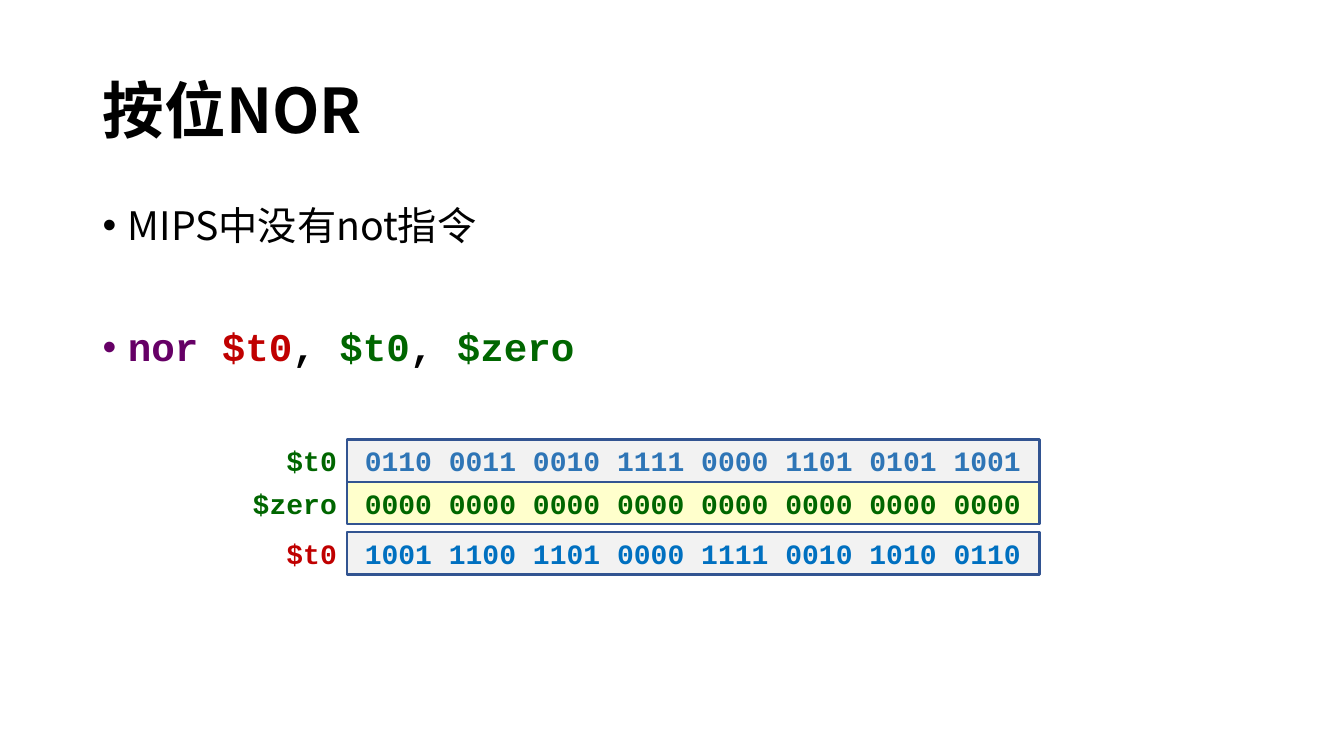
from lxml.etree import SubElement
from pptx import Presentation
from pptx.dml.color import RGBColor
from pptx.enum.shapes import MSO_SHAPE
from pptx.enum.text import MSO_ANCHOR, MSO_AUTO_SIZE, PP_ALIGN
from pptx.oxml.ns import qn
from pptx.util import Inches, Pt

# Colours
BLACK = RGBColor(0x00, 0x00, 0x00)
PURPLE = RGBColor(0x66, 0x00, 0x66)
RED = RGBColor(0xC0, 0x00, 0x00)
GREEN = RGBColor(0x00, 0x66, 0x00)
STEEL_BLUE = RGBColor(0x2E, 0x75, 0xB6)
BRIGHT_BLUE = RGBColor(0x00, 0x70, 0xC0)
BORDER_BLUE = RGBColor(0x32, 0x54, 0x91)
LIGHT_GREY = RGBColor(0xF2, 0xF2, 0xF2)
LIGHT_YELLOW = RGBColor(0xFF, 0xFF, 0xCC)

# Text formats
SANS = "Noto Sans CJK SC"
MONO = "Courier New"
TITLE_FONT = {"name": SANS, "size": Pt(44), "bold": True}
BODY_FONT = {"name": SANS, "size": Pt(28), "bold": False}
CODE_FONT = {"name": MONO, "size": Pt(28), "bold": True}
BITS_FONT = {"name": MONO, "size": Pt(20), "bold": True}

# Layout
SLIDE_WIDTH, SLIDE_HEIGHT = Inches(13.33), Inches(7.5)
MARGIN, CONTENT_WIDTH = Inches(0.92), Inches(11.5)
REGISTER_LEFT, REGISTER_WIDTH = Inches(3.44), Inches(6.87)
LABEL_WIDTH = Inches(1.09)
REGISTER_TOP, ROW_HEIGHT = Inches(4.36), Inches(0.42)
RESULT_GAP = Inches(0.08)


def set_values(target, values):
    for name, value in values.items():
        setattr(target, name, value)


def add_run(paragraph, text, font, color):
    run = paragraph.add_run()
    run.text = text
    set_values(run.font, font)
    run.font.color.rgb = color
    if font["name"] == SANS:
        SubElement(run.font._element, qn("a:ea"), typeface=SANS)


def fill_frame(shape, text, font, color, alignment):
    frame = shape.text_frame
    set_values(frame, {"word_wrap": True, "auto_size": MSO_AUTO_SIZE.NONE,
                       "vertical_anchor": MSO_ANCHOR.MIDDLE})
    paragraph = frame.paragraphs[0]
    paragraph.alignment = alignment
    add_run(paragraph, text, font, color)
    return paragraph


def add_title(slide, text):
    title = slide.shapes.title
    set_values(title, {"left": MARGIN, "top": Inches(0.4),
                       "width": CONTENT_WIDTH, "height": Inches(1.45)})
    paragraph = fill_frame(title, text, TITLE_FONT, BLACK, PP_ALIGN.LEFT)
    paragraph.line_spacing = 0.9


def format_bullet(paragraph, space_before):
    set_values(paragraph, {"line_spacing": 0.9, "space_before": space_before,
                           "alignment": PP_ALIGN.LEFT})
    properties = paragraph._p.get_or_add_pPr()
    properties.set("marL", str(Inches(0.25)))
    properties.set("indent", str(-Inches(0.25)))
    SubElement(properties, qn("a:buFont"), typeface="Arial")
    SubElement(properties, qn("a:buChar"), char="•")


def add_bullets(slide, bullets):
    box = slide.shapes.add_textbox(MARGIN, Inches(2), CONTENT_WIDTH, Inches(2.3))
    frame = box.text_frame
    frame.word_wrap = True
    for index, (space_before, font, runs) in enumerate(bullets):
        paragraph = frame.add_paragraph() if index else frame.paragraphs[0]
        format_bullet(paragraph, space_before)
        for text, color in runs:
            add_run(paragraph, text, font, color)


def add_register(slide, top, label, label_color, bits, bits_color, fill_color):
    group = slide.shapes.add_group_shape()
    # Bit field
    field = group.shapes.add_shape(MSO_SHAPE.RECTANGLE, REGISTER_LEFT, top,
                                   REGISTER_WIDTH, ROW_HEIGHT)
    field.shadow.inherit = False
    field.fill.solid()
    field.fill.fore_color.rgb = fill_color
    field.line.color.rgb = BORDER_BLUE
    field.line.width = Pt(1.5)
    fill_frame(field, bits, BITS_FONT, bits_color, PP_ALIGN.CENTER)
    # Register name
    name_box = group.shapes.add_textbox(REGISTER_LEFT - LABEL_WIDTH, top,
                                        LABEL_WIDTH, ROW_HEIGHT)
    fill_frame(name_box, label, BITS_FONT, label_color, PP_ALIGN.RIGHT)


def main():
    presentation = Presentation()
    set_values(presentation, {"slide_width": SLIDE_WIDTH, "slide_height": SLIDE_HEIGHT})
    slide = presentation.slides.add_slide(presentation.slide_layouts.get_by_name("Title Only"))

    add_title(slide, "按位NOR")
    add_bullets(slide, [
        (Pt(10), BODY_FONT, [("MIPS中没有not指令", BLACK)]),
        (Pt(56.5), CODE_FONT, [("nor ", PURPLE), ("$t0", RED), (", ", BLACK),
                               ("$t0", GREEN), (", ", BLACK), ("$zero", GREEN)]),
    ])

    # Operands touch; the result stands a little apart
    registers = [
        (0, "$t0", GREEN, "0110 0011 0010 1111 0000 1101 0101 1001", STEEL_BLUE, LIGHT_GREY),
        (0, "$zero", GREEN, "0000 0000 0000 0000 0000 0000 0000 0000", GREEN, LIGHT_YELLOW),
        (RESULT_GAP, "$t0", RED, "1001 1100 1101 0000 1111 0010 1010 0110", BRIGHT_BLUE, LIGHT_GREY),
    ]
    for row, (gap, *register) in enumerate(registers):
        add_register(slide, REGISTER_TOP + row * ROW_HEIGHT + gap, *register)

    presentation.save("out.pptx")


if __name__ == "__main__":
    main()
